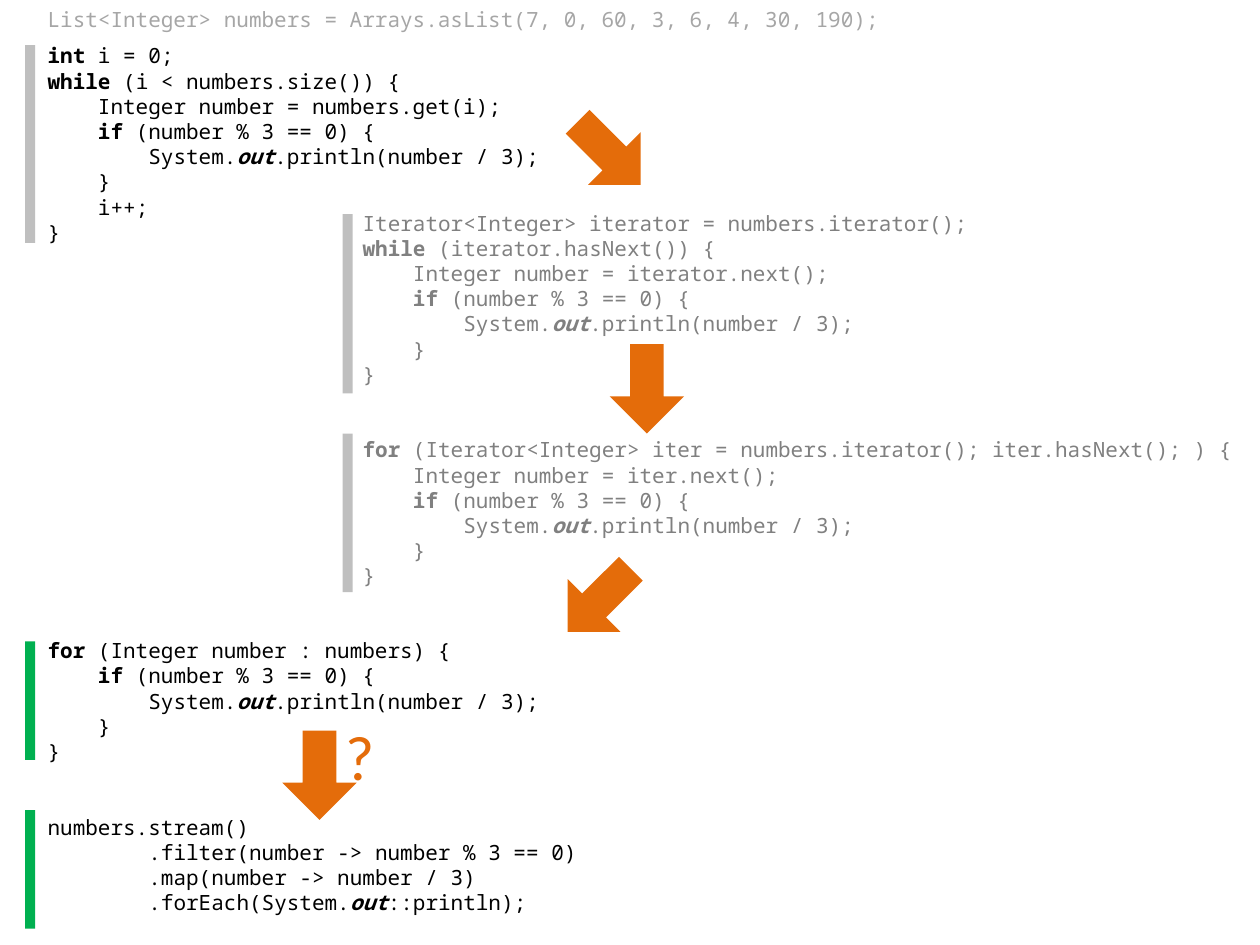
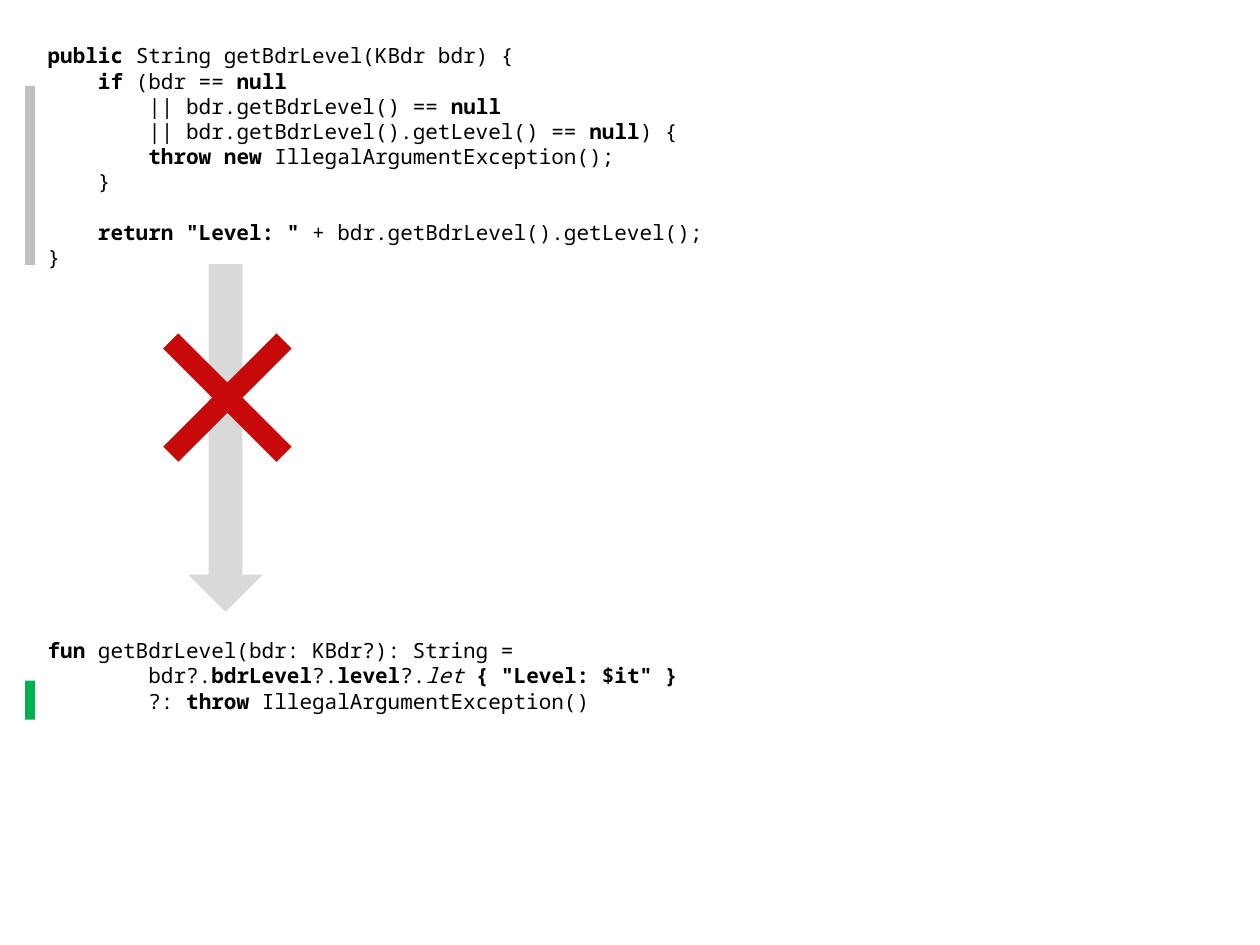
from dataclasses import dataclass
from itertools import groupby

from pptx import Presentation
from pptx import util as u
from pptx.dml.color import RGBColor
from pptx.enum import shapes, text


@dataclass(frozen=True)
class Theme:
    code_font: str = "Noto Sans Mono"
    mark_font: str = "Calibri"
    code_size: float = 12
    code_pitch: float = 14.4
    mark_size: float = 36
    char_width: float = 0.254
    ink: str = "000000"
    muted: str = "808080"
    faint: str = "A6A6A6"
    accent: str = "E46C0A"
    good: str = "00B050"
    old: str = "BFBFBF"
    pale: str = "D9D9D9"
    wrong: str = "C70909"


T = Theme()
LEFT = 0.71
BAR_LEFT, BAR_WIDTH = 0.51, 0.2
INNER_BAR_LEFT = 6.91
ARROW_WIDTH, ARROW_HEIGHT = 1.8, 1.5
ARROW_ADJ = (0.452, 0.5)
S = shapes.MSO_SHAPE


def add_code(s, box, code, color, font=T.code_font, size=T.code_size, pitch=T.code_pitch):
    # "*" toggles bold and "~" toggles italic
    tf = s.shapes.add_textbox(*map(u.Cm, box)).text_frame
    tf.word_wrap = True
    tf.auto_size = text.MSO_AUTO_SIZE.SHAPE_TO_FIT_TEXT
    p, blanks = tf.paragraphs[0], 0
    for number, line in enumerate(code.strip().split("\n")):
        if not line:
            blanks += 1
            continue
        if number:
            p = tf.add_paragraph()
        body = line.lstrip()
        indent = u.Cm(T.char_width * (len(line) - len(body)))
        p._p.get_or_add_pPr().set("marL", str(indent))
        p.space_before = u.Pt(blanks * T.code_pitch)
        blanks = 0
        if pitch:
            p.line_spacing = u.Pt(pitch)
        p.font.name, p.font.size = font, u.Pt(size)
        p.font.color.rgb = RGBColor.from_string(color)
        bold = italic = False
        styled = []
        for ch in body:
            if ch == "*":
                bold = not bold
            elif ch == "~":
                italic = not italic
            else:
                styled.append((ch, bold, italic))
        for (bold, italic), chars in groupby(styled, key=lambda c: c[1:]):
            r = p.add_run()
            r.text = "".join(c[0] for c in chars)
            if bold:
                r.font.bold = True
            if italic:
                r.font.italic = True


def add_block(s, kind, box, color, rotation=0, adjustments=()):
    sp = s.shapes.add_shape(kind, *map(u.Cm, box))
    sp.shadow.inherit = False
    sp.fill.solid()
    sp.fill.fore_color.rgb = RGBColor.from_string(color)
    sp.line.fill.background()
    sp.rotation = rotation
    for i, value in enumerate(adjustments):
        sp.adjustments[i] = value


NUMBERS = "List<Integer> numbers = Arrays.asList(7, 0, 60, 3, 6, 4, 30, 190);"

INDEX_LOOP = """
*int *i = 0;
*while *(i < numbers.size()) {
    Integer number = numbers.get(i);
    *if *(number % 3 == 0) {
        System.*~out~*.println(number / 3);
    }
    i++;
}
"""

ITERATOR_LOOPS = """
Iterator<Integer> iterator = numbers.iterator();
*while *(iterator.hasNext()) {
    Integer number = iterator.next();
    *if *(number % 3 == 0) {
        System.*~out~*.println(number / 3);
    }
}


*for *(Iterator<Integer> iter = numbers.iterator(); iter.hasNext(); ) {
    Integer number = iter.next();
    *if *(number % 3 == 0) {
        System.*~out~*.println(number / 3);
    }
}
"""

FOREACH_AND_STREAM = """
*for *(Integer number : numbers) {
    *if *(number % 3 == 0) {
        System.*~out~*.println(number / 3);
    }
}


numbers.stream()
        .filter(number -> number % 3 == 0)
        .map(number -> number / 3)
        .forEach(System.*~out~*::println);
"""

JAVA_LEVEL = """
*public *String getBdrLevel(KBdr bdr) {
    *if *(bdr == *null*
        || bdr.getBdrLevel() == *null*
        || bdr.getBdrLevel().getLevel() == *null*) {
        *throw new *IllegalArgumentException();
    }

    *return "Level: " *+ bdr.getBdrLevel().getLevel();
}
"""

KOTLIN_LEVEL = """
*fun *getBdrLevel(bdr: KBdr?): String =
        bdr?.*bdrLevel*?.*level*?.~let ~*{ "Level: $it" }*
        ?: *throw *IllegalArgumentException()
"""

prs = Presentation()
prs.slide_width, prs.slide_height = u.Cm(25.4), u.Cm(19.05)
blank = prs.slide_layouts[6]

s = prs.slides.add_slide(blank)
for box, code, color in [
    ((LEFT, 0.74, 10.59, 4.37), INDEX_LOOP, T.ink),
    ((7.06, 4.11, 18.34, 8.46), ITERATOR_LOOPS, T.muted),
    ((LEFT, 12.73, 11.35, 5.89), FOREACH_AND_STREAM, T.ink),
]:
    add_code(s, box, code, color)

for left, top, rotation in [
    (11.18, 11.35, 135),
    (11.38, 2.34, 45),
    (12.14, 7.09, 90),
    (5.54, 14.88, 90),
]:
    add_block(s, S.RIGHT_ARROW, (left, top, ARROW_WIDTH, ARROW_HEIGHT), T.accent, rotation, ARROW_ADJ)

add_code(s, (6.71, 14.33, 1.12, 1.8), "?", T.accent, T.mark_font, T.mark_size, None)
for top in (12.93, 16.33):
    add_block(s, S.RECTANGLE, (BAR_LEFT, top, BAR_WIDTH, 2.39), T.good)
add_code(s, (LEFT, 0, 17.55, 0.76), NUMBERS, T.faint)
for left, top, height in [
    (BAR_LEFT, 0.91, 3.99),
    (INNER_BAR_LEFT, 4.32, 3.61),
    (INNER_BAR_LEFT, 8.74, 3.2),
]:
    add_block(s, S.RECTANGLE, (left, top, BAR_WIDTH, height), T.old)

s = prs.slides.add_slide(blank)
add_code(s, (LEFT, 0.74, 14.2, 4.88), JAVA_LEVEL, T.ink)
add_code(s, (LEFT, 12.73, 13.44, 1.8), KOTLIN_LEVEL, T.ink)
add_block(s, S.RIGHT_ARROW, (1.04, 8.08, 7.01, ARROW_HEIGHT), T.pale, 90, ARROW_ADJ)
add_block(s, S.CROSS, (2.97, 6.4, 3.23, 3.23), T.wrong, 315, (0.433,))
for top, height, color in [(13.72, 0.79, T.good), (1.73, 3.61, T.old)]:
    add_block(s, S.RECTANGLE, (BAR_LEFT, top, BAR_WIDTH, height), color)

prs.save("out.pptx")
